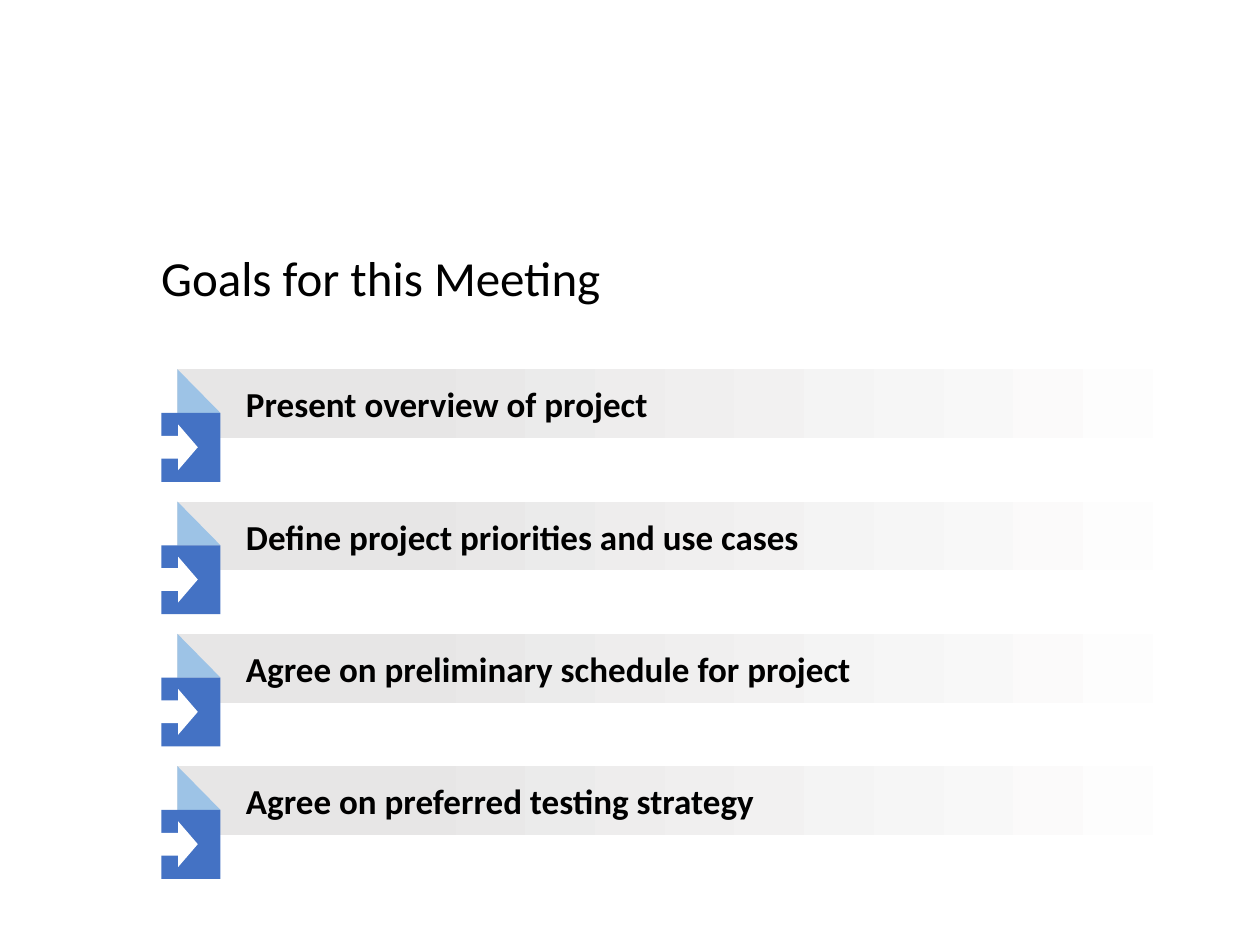
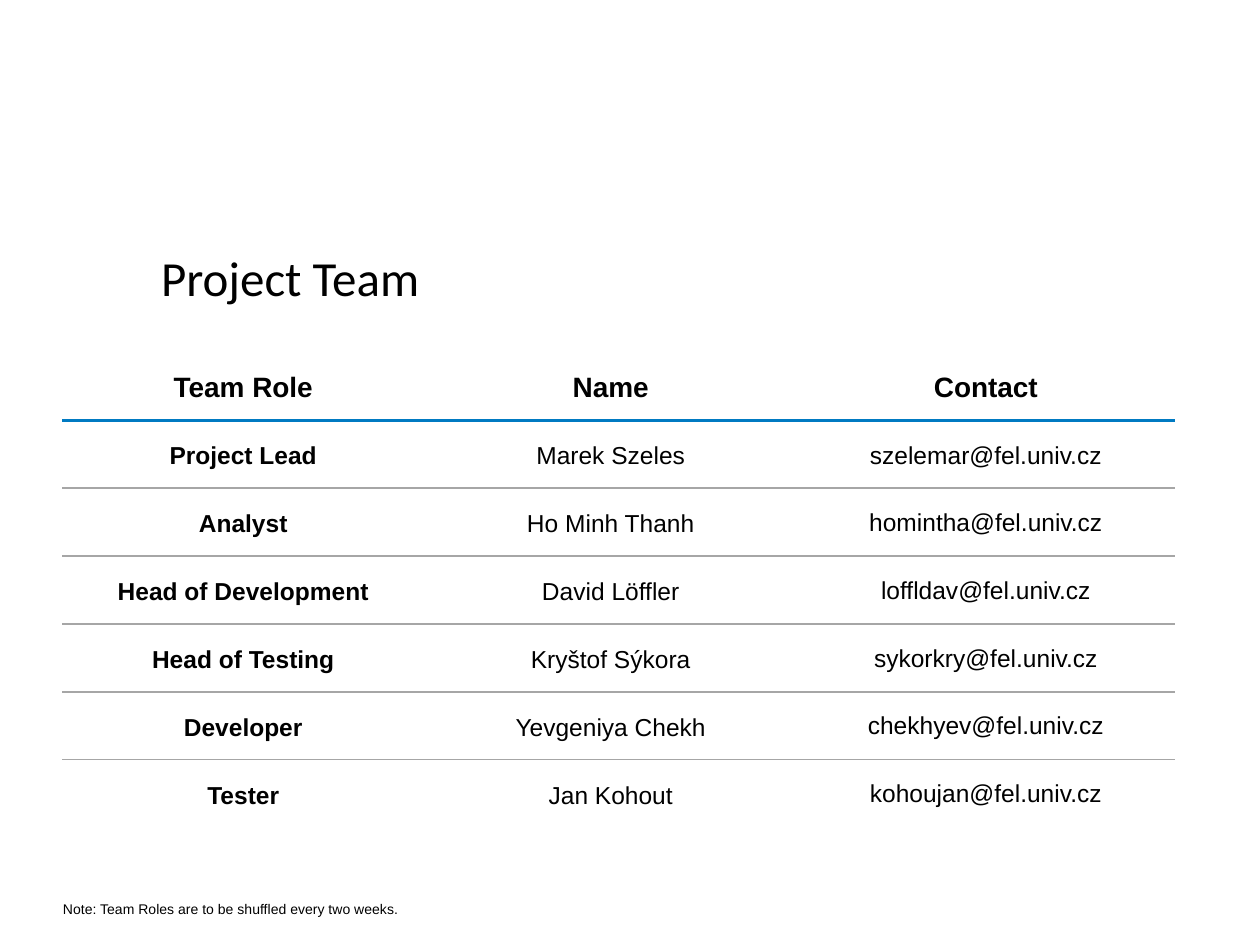
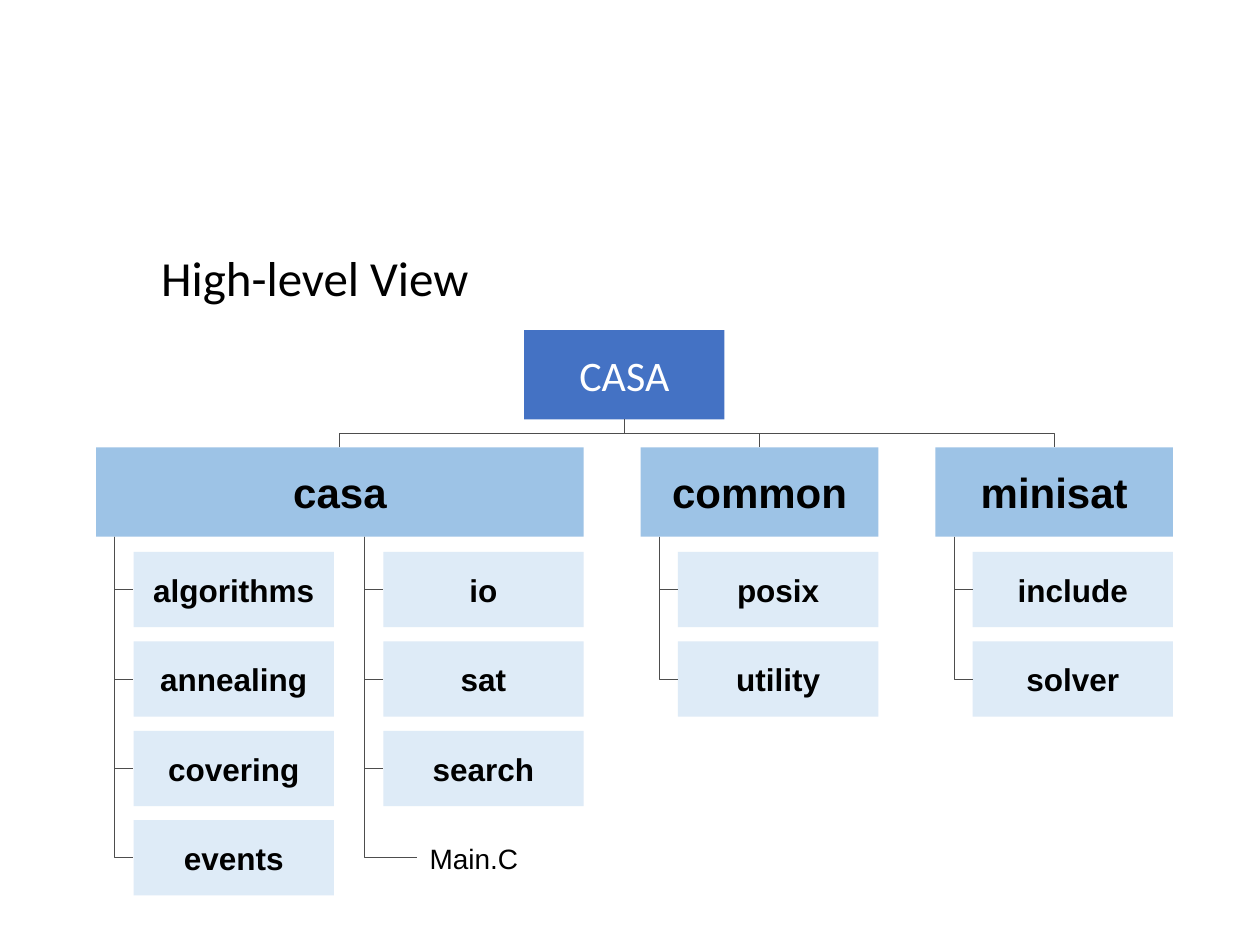
from pptx import Presentation
from pptx.dml.color import RGBColor
from pptx.enum.shapes import MSO_CONNECTOR as CONN, MSO_SHAPE as SHAPE
from pptx.enum.text import MSO_ANCHOR as ANCHOR, PP_ALIGN as ALIGN
from pptx.oxml import parse_xml
from pptx.oxml.ns import nsdecls, qn
from pptx.util import Pt

BLACK = RGBColor(0x00, 0x00, 0x00)
WHITE = RGBColor(0xFF, 0xFF, 0xFF)
BLUE = RGBColor(0x44, 0x72, 0xC4)
SKY = RGBColor(0x9D, 0xC3, 0xE6)
PALE = RGBColor(0xDE, 0xEB, 0xF7)
SILVER = RGBColor(0xE7, 0xE6, 0xE6)
LINK = RGBColor(0x4D, 0x4D, 0x4D)
RULE = RGBColor(0xA6, 0xA6, 0xA6)
HEAD_RULE = RGBColor(0x00, 0x7A, 0xC2)

# Text formats
TITLE = dict(name="Calibri", size=Pt(28), bold=False)
GOAL = dict(name="Calibri", size=Pt(20), bold=True)
ROOT = dict(name="Calibri", size=Pt(24), bold=False)
BRANCH = dict(name="Arial", size=Pt(24), bold=True)
LEAF = dict(name="Arial", size=Pt(18), bold=True)
FILE = dict(name="Arial", size=Pt(16), bold=False)
NOTE = dict(name="Arial", size=Pt(8), bold=False)
HEADER = dict(name="Arial", size=Pt(16), bold=True)
ROLE = dict(name="Arial", size=Pt(14), bold=True)
BODY = dict(name="Arial", size=Pt(14), bold=False)

MARGINS = (7.2, 3.6, 7.2, 3.6)


def set_margins(obj, margins):
    for side, value in zip(("left", "top", "right", "bottom"), margins):
        setattr(obj, "margin_" + side, Pt(value))


class Deck:
    """Slide builder holding the shared style and the current slide."""

    def __init__(self):
        self.prs = Presentation()
        self.prs.slide_width, self.prs.slide_height = Pt(720), Pt(540)
        self.slide = None

    def new_slide(self, title):
        self.slide = self.prs.slides.add_slide(self.prs.slide_layouts[6])
        self.label(title, (85, 141.8, 613.4, 85.7), TITLE, spacing=0.9)

    def put_text(self, tf, text, fmt, color=BLACK, align=ALIGN.LEFT, spacing=1.0):
        p = tf.paragraphs[0]
        p.alignment, p.line_spacing = align, spacing
        r = p.add_run()
        r.text = text
        for key, value in fmt.items():
            setattr(r.font, key, value)
        r.font.color.rgb = color

    def frame(self, sp, text, fmt, anchor, margins, **kw):
        tf = sp.text_frame
        tf.word_wrap, tf.vertical_anchor = True, anchor
        set_margins(tf, margins)
        self.put_text(tf, text, fmt, **kw)

    def label(self, text, at, fmt, anchor=ANCHOR.TOP, margins=MARGINS, **kw):
        sp = self.slide.shapes.add_textbox(*map(Pt, at))
        self.frame(sp, text, fmt, anchor, margins, **kw)

    def shape(self, kind, at, fill):
        sp = self.slide.shapes.add_shape(kind, *map(Pt, at))
        sp.shadow.inherit = False
        sp.line.fill.background()
        sp.fill.solid()
        sp.fill.fore_color.rgb = fill
        return sp

    def box(self, text, at, fill, fmt, margins=MARGINS, align=ALIGN.CENTER, **kw):
        sp = self.shape(SHAPE.RECTANGLE, at, fill)
        self.frame(sp, text, fmt, ANCHOR.MIDDLE, margins, align=align, **kw)
        return sp

    def fade(self, sp, stops):
        sp.fill.gradient()
        sp.fill.gradient_angle = 0
        for stop, (position, color) in zip(sp.fill.gradient_stops, stops):
            stop.position, stop.color.rgb = position, color

    def elbow(self, start, end, preset="bentConnector3"):
        """Elbow that leaves its start vertically, so it is turned by 90 degrees."""
        (x1, y1), (x2, y2) = start, end
        cx, cy = (x1 + x2) / 2, (y1 + y2) / 2
        half_w, half_h = (y2 - y1) / 2, abs(x2 - x1) / 2
        rightward = x2 > x1
        if rightward:
            half_w = -half_w
        c = self.slide.shapes.add_connector(
            CONN.ELBOW, Pt(cx - half_w), Pt(cy - half_h),
            Pt(cx + half_w), Pt(cy + half_h))
        c.rotation = 270 if rightward else 90
        c.line.color.rgb, c.line.width = LINK, Pt(0.5)
        sp_pr = c.element.spPr
        sp_pr.find(qn("a:prstGeom")).set("prst", preset)
        sp_pr.append(parse_xml(f"<a:effectLst {nsdecls('a')}/>"))

    def border(self, cell, tag, color, width):
        tc_pr = cell._tc.get_or_add_tcPr()
        ln = parse_xml(
            f'<a:{tag} {nsdecls("a")} w="{Pt(width)}"><a:solidFill>'
            f'<a:srgbClr val="{color}"/></a:solidFill></a:{tag}>')
        # Borders come before the fill
        tc_pr.insert(len(tc_pr.findall(qn("a:lnT"))), ln)

    def table(self, at, widths, heights, rows):
        tbl = self.slide.shapes.add_table(
            len(rows), len(widths), *map(Pt, at), Pt(sum(widths)), Pt(sum(heights))).table
        tbl.first_row = tbl.horz_banding = False
        for col, width in zip(tbl.columns, widths):
            col.width = Pt(width)
        for row, height in zip(tbl.rows, heights):
            row.height = Pt(height)
        for i, row in enumerate(rows):
            for j, text in enumerate(row):
                cell = tbl.cell(i, j)
                cell.fill.background()
                cell.vertical_anchor = ANCHOR.MIDDLE
                tight = i > 1 and j == 2
                set_margins(cell, (0.7, 0.7, 0.7, 0) if tight else (5, 1.4, 5, 1.4))
                fmt = HEADER if i == 0 else ROLE if j == 0 else BODY
                self.put_text(cell.text_frame, text, fmt, align=ALIGN.CENTER,
                              spacing=1.0 if tight else 1.15)
                if i > 0:
                    self.border(cell, "lnT", *((HEAD_RULE, 1.5) if i == 1 else (RULE, 1)))
                if i < len(rows) - 1:
                    self.border(cell, "lnB", *((HEAD_RULE, 1.5) if i == 0 else (RULE, 1)))


def goals_slide(deck):
    deck.new_slide("Goals for this Meeting")
    goals = ["Present overview of project", "Define project priorities and use cases",
             "Agree on preliminary schedule for project", "Agree on preferred testing strategy"]
    for i, goal in enumerate(goals):
        y = 211 + 75.6 * i
        bar = deck.box(goal, (101, y, 597.6, 39.4), SILVER, GOAL,
                       (39.6, 7.2, 14.4, 7.2), ALIGN.LEFT)
        deck.fade(bar, [(0.2, SILVER), (1, WHITE)])
        # Folded marker with an arrow
        deck.shape(SHAPE.RIGHT_TRIANGLE, (101.4, y, 24.6, 25), SKY)
        deck.shape(SHAPE.RECTANGLE, (92.2, y + 25, 33.8, 39.4), BLUE)
        deck.shape(SHAPE.RIGHT_ARROW, (90.7, y + 31.6, 22.3, 26), WHITE)


def team_slide(deck):
    deck.new_slide("Project Team")
    team = [("Project Lead", "Marek Szeles", "szelemar"),
            ("Analyst", "Ho Minh Thanh", "homintha"),
            ("Head of Development", "David Löffler", "loffldav"),
            ("Head of Testing", "Kryštof Sýkora", "sykorkry"),
            ("Developer", "Yevgeniya Chekh", "chekhyev"),
            ("Tester", "Jan Kohout", "kohoujan")]
    rows = [("Team Role", "Name", "Contact")]
    rows += [(role, name, user + "@fel.univ.cz") for role, name, user in team]
    deck.label("Note: Team Roles are to be shuffled every two weeks.",
               (36, 498.2, 708.5, 26), NOTE, ANCHOR.BOTTOM, (0, 0, 0, 0), spacing=0.9)
    deck.table((36, 200), (206, 214, 214.8), [40.2] + [38.8] * len(team), rows)


def structure_slide(deck):
    deck.new_slide("High-level View")
    box_w, head_h, leaf_h, step = 114.5, 51.1, 43, 51.1
    root_x, root_y, head_y, leaf_y = 299.5, 188.6, 255.6, 315.4
    # Each branch: name, then its columns as left edge and leaves
    branches = [
        ("casa", [(76.3, ["algorithms", "annealing", "covering", "events"]),
                  (219, ["io", "sat", "search", "Main.C"])]),
        ("common", [(387.4, ["posix", "utility"])]),
        ("minisat", [(555.8, ["include", "solver"])]),
    ]
    deck.box("CASA", (root_x, root_y, box_w, head_h), BLUE, ROOT, color=WHITE)
    for name, columns in branches:
        left = columns[0][0] - 21.3
        width = columns[-1][0] + box_w - left
        deck.elbow((root_x + box_w / 2, root_y + head_h), (left + width / 2, head_y))
        deck.box(name, (left, head_y, width, head_h), SKY, BRANCH)
        for x, leaves in columns:
            for i, leaf in enumerate(leaves):
                y = leaf_y + step * i
                is_file = "." in leaf
                indent = 19.4 if is_file else 0
                at = (x + indent, y, box_w - indent, leaf_h)
                if is_file:
                    deck.label(leaf, at, FILE, ANCHOR.MIDDLE)
                else:
                    deck.box(leaf, at, PALE, LEAF)
                deck.elbow((x - 10.6, head_y + head_h), (x + indent, y + leaf_h / 2),
                           "bentConnector2")


def main():
    deck = Deck()
    goals_slide(deck)
    team_slide(deck)
    structure_slide(deck)
    deck.prs.save("out.pptx")


if __name__ == "__main__":
    main()
